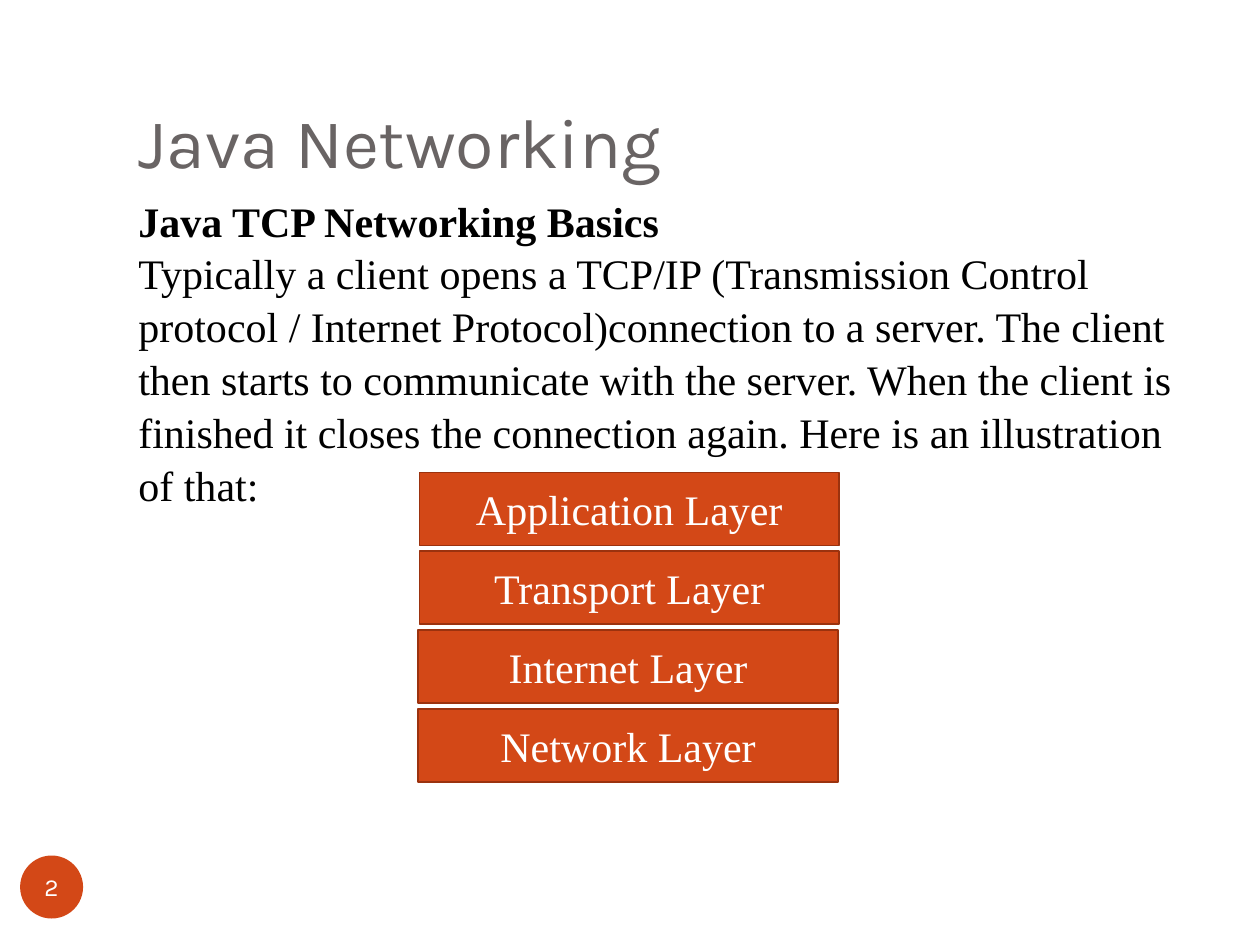
from dataclasses import dataclass

from pptx import Presentation
from pptx.dml.color import RGBColor
from pptx.enum.shapes import MSO_SHAPE
from pptx.enum.text import MSO_ANCHOR, PP_ALIGN
from pptx.util import Inches, Pt


@dataclass(frozen=True)
class Theme:
    heading_font: str = "Karla"
    body_font: str = "Times New Roman"
    heading: RGBColor = RGBColor(0x69, 0x64, 0x64)
    body: RGBColor = RGBColor(0, 0, 0)
    light: RGBColor = RGBColor(0xFF, 0xFF, 0xFF)
    accent: RGBColor = RGBColor(0xD3, 0x48, 0x17)
    outline: RGBColor = RGBColor(0x9B, 0x32, 0x0E)
    title_size: int = 40
    body_size: int = 24
    number_size: int = 14


THEME = Theme()


def write_paragraph(para, text, font, size, color, bold=False):
    para.text = text
    for span in para.runs:
        span.font.name = font
        span.font.size = Pt(size)
        span.font.color.rgb = color
        span.font.bold = bold


def add_text_box(page, left, top, width, height, anchor=MSO_ANCHOR.TOP):
    box = page.shapes.add_textbox(Inches(left), Inches(top), Inches(width), Inches(height))
    frame = box.text_frame
    frame.word_wrap = True
    frame.vertical_anchor = anchor
    return frame


def add_filled_shape(page, kind, left, top, width, height, text, font, size):
    shape = page.shapes.add_shape(kind, Inches(left), Inches(top), Inches(width), Inches(height))
    shape.shadow.inherit = False
    shape.fill.solid()
    shape.fill.fore_color.rgb = THEME.accent
    shape.text_frame.vertical_anchor = MSO_ANCHOR.MIDDLE
    para = shape.text_frame.paragraphs[0]
    para.alignment = PP_ALIGN.CENTER
    write_paragraph(para, text, font, size, THEME.light)
    return shape


def add_title(page, text):
    frame = add_text_box(page, 1, 0.3, 8.5, 1.25, MSO_ANCHOR.BOTTOM)
    frame.margin_bottom = Inches(0.1)
    write_paragraph(frame.paragraphs[0], text, THEME.heading_font, THEME.title_size, THEME.heading)


def add_page_number(page, text):
    badge = add_filled_shape(page, MSO_SHAPE.OVAL, 0.16, 6.79, 0.5, 0.5, text,
                             THEME.heading_font, THEME.number_size)
    badge.line.fill.background()
    frame = badge.text_frame
    frame.word_wrap = False
    frame.margin_left = frame.margin_right = frame.margin_top = frame.margin_bottom = 0


def add_body(page, heading, text):
    frame = add_text_box(page, 1, 1.48, 8.5, 3.3)
    for para, content, bold in ((frame.paragraphs[0], heading, True),
                                (frame.add_paragraph(), text, False)):
        para.line_spacing = 1.05
        write_paragraph(para, content, THEME.body_font, THEME.body_size, THEME.body, bold)


def add_layer_stack(page, layers):
    top, pitch = 3.75, 0.625
    for index, name in enumerate(layers):
        # The lower pair sits slightly to the left
        left = 3.33 if index < 2 else 3.32
        layer = add_filled_shape(page, MSO_SHAPE.RECTANGLE, left, top + index * pitch,
                                 3.33, 0.58, name, THEME.body_font, THEME.body_size)
        layer.line.color.rgb = THEME.outline
        layer.line.width = Pt(1)


def main():
    deck = Presentation()
    deck.slide_width, deck.slide_height = Inches(10), Inches(7.5)
    page = deck.slides.add_slide(deck.slide_layouts[6])

    # Heading and page number
    add_title(page, "Java Networking")
    add_page_number(page, "2")

    # Explanation
    add_body(page, "Java TCP Networking Basics",
             "Typically a client opens a TCP/IP (Transmission Control protocol / "
             "Internet Protocol)connection to a server. The client then starts to "
             "communicate with the server. When the client is finished it closes the "
             "connection again. Here is an illustration of that:")

    # Protocol layers
    add_layer_stack(page, ("Application Layer", "Transport Layer",
                           "Internet Layer", "Network Layer"))

    deck.save("out.pptx")


if __name__ == "__main__":
    main()
